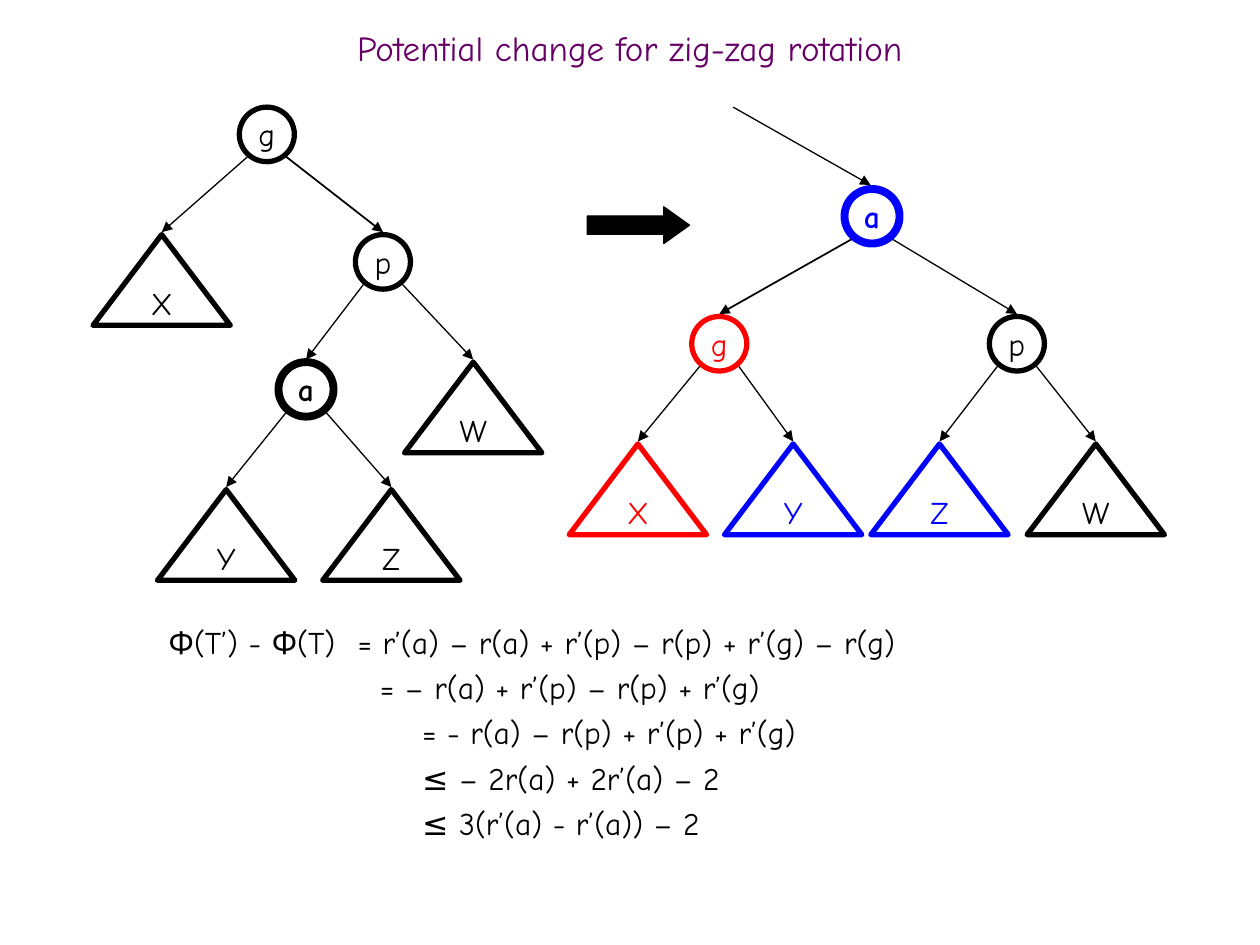
from dataclasses import dataclass

from lxml.etree import SubElement
from pptx import Presentation
from pptx.dml.color import RGBColor
from pptx.enum.shapes import MSO_CONNECTOR, MSO_SHAPE
from pptx.enum.text import MSO_ANCHOR, PP_ALIGN
from pptx.oxml.ns import qn
from pptx.util import Cm, Pt


@dataclass(frozen=True)
class Theme:
    font: str = "Comic Neue"
    title: RGBColor = RGBColor(0x66, 0x00, 0x66)
    black: RGBColor = RGBColor(0x00, 0x00, 0x00)
    red: RGBColor = RGBColor(0xFF, 0x00, 0x00)
    blue: RGBColor = RGBColor(0x00, 0x00, 0xFF)
    title_size: Pt = Pt(20)
    text_size: Pt = Pt(18)
    leading: Pt = Pt(26)


theme = Theme()

prs = Presentation()
prs.slide_width, prs.slide_height = Cm(25.4), Cm(19.05)
slide = prs.slides.add_slide(prs.slide_layouts[6])
shapes = slide.shapes


def style_font(paragraph, size, color, bold=False):
    font = paragraph.font
    font.name, font.size, font.bold = theme.font, size, bold
    font.color.rgb = color


def add_arrow(x1, y1, x2, y2, width):
    arrow = shapes.add_connector(MSO_CONNECTOR.STRAIGHT, Cm(x1), Cm(y1), Cm(x2), Cm(y2))
    arrow.line.color.rgb = theme.black
    arrow.line.width = Pt(width)
    SubElement(arrow.line._get_or_add_ln(), qn("a:tailEnd"), type="triangle")
    SubElement(arrow._element.spPr, qn("a:effectLst"))


# Title
title = shapes.add_textbox(Cm(0), Cm(0.43), Cm(25.4), Cm(1.27)).text_frame
title.word_wrap = True
title.vertical_anchor = MSO_ANCHOR.MIDDLE
heading = title.paragraphs[0]
heading.text = "Potential change for zig-zag rotation"
heading.alignment = PP_ALIGN.CENTER
heading.line_spacing = 0.7
style_font(heading, theme.title_size, theme.title)

# Trees: top of the root, nodes as label: (centre x, level, colour),
# then edges as (parent, child, line width)
NODE_W, NODE_H = 1.11, 1.1
SUBTREE_W, SUBTREE_H = 2.77, 1.83
LEVEL_STEP = 2.57
before = (
    2.16,
    {
        "g": (5.38, 0, theme.black),
        "X": (3.26, 1, theme.black),
        "p": (7.72, 1, theme.black),
        "a": (6.17, 2, theme.black),
        "W": (9.54, 2, theme.black),
        "Y": (4.56, 3, theme.black),
        "Z": (7.89, 3, theme.black),
    },
    [("g", "X", 0.75), ("g", "p", 1), ("p", "a", 0.75),
     ("p", "W", 0.75), ("a", "Y", 0.75), ("a", "Z", 0.75)],
)
after = (
    3.81,
    {
        "a": (17.58, 0, theme.blue),
        "g": (14.5, 1, theme.red),
        "p": (20.5, 1, theme.black),
        "X": (12.86, 2, theme.red),
        "Y": (15.99, 2, theme.blue),
        "Z": (18.94, 2, theme.blue),
        "W": (22.09, 2, theme.black),
    },
    [("a", "g", 1), ("a", "p", 0.75), ("g", "X", 0.75),
     ("g", "Y", 0.75), ("p", "Z", 0.75), ("p", "W", 0.75)],
)

for root_top, nodes, edges in (before, after):
    for parent, child, width in edges:
        parent_x, parent_level, _ = nodes[parent]
        child_x, child_level, _ = nodes[child]
        side = 0.39 if child_x > parent_x else -0.39
        add_arrow(parent_x + side, root_top + parent_level * LEVEL_STEP + 1,
                  child_x, root_top + child_level * LEVEL_STEP - 0.05, width)

    for label, (center, level, color) in nodes.items():
        # Capital letters are subtrees; "a" is the node being splayed
        if label.isupper():
            kind, w, h = MSO_SHAPE.ISOSCELES_TRIANGLE, SUBTREE_W, SUBTREE_H
        else:
            kind, w, h = MSO_SHAPE.OVAL, NODE_W, NODE_H
        splayed = label == "a"
        node = shapes.add_shape(kind, Cm(center - w / 2), Cm(root_top + level * LEVEL_STEP),
                                Cm(w), Cm(h))
        node.shadow.inherit = False
        node.fill.background()
        node.line.color.rgb = color
        node.line.width = Pt(4.5 if splayed else 3)
        node.text_frame.word_wrap = False
        node.text_frame.vertical_anchor = MSO_ANCHOR.MIDDLE
        caption = node.text_frame.paragraphs[0]
        caption.text = label
        caption.alignment = PP_ALIGN.CENTER
        style_font(caption, theme.text_size, color, splayed)

# Link from the rest of the tree to the new root
add_arrow(14.78, 2.16, 17.55, 3.73, 0.75)

# Rotation arrow between the trees
rotation = shapes.add_shape(MSO_SHAPE.RIGHT_ARROW, Cm(11.84), Cm(4.17), Cm(2.06), Cm(0.74))
rotation.adjustments[0], rotation.adjustments[1] = 0.5, 0.7
rotation.shadow.inherit = False
rotation.fill.solid()
rotation.fill.fore_color.rgb = theme.black
rotation.line.color.rgb = theme.black
rotation.line.width = Pt(0.75)

# Derivation: (left margin, first-line indent, text); the tab runs to the margin
derivation = [
    (5.08, -3.81, "Φ(T’) - Φ(T)\t= r’(a) – r(a) + r’(p) – r(p) + r’(g) – r(g)"),
    (5.53, 0, "= – r(a) + r’(p) – r(p) + r’(g)"),
    (6.38, 0, "= - r(a) – r(p) + r’(p) + r’(g)"),
    (6.38, 0, "≤ – 2r(a) + 2r’(a) – 2"),
    (6.38, 0, "≤ 3(r’(a) - r’(a)) – 2"),
]
proof = shapes.add_textbox(Cm(1.88), Cm(12.27), Cm(22.07), Cm(4.01)).text_frame
proof.word_wrap = True
for i, (margin, indent, text) in enumerate(derivation):
    step = proof.add_paragraph() if i else proof.paragraphs[0]
    step.text = text
    step.line_spacing = theme.leading
    properties = step._p.get_or_add_pPr()
    properties.set("marL", str(Cm(margin)))
    properties.set("indent", str(Cm(indent)))
    style_font(step, theme.text_size, theme.black)

prs.save("out.pptx")
